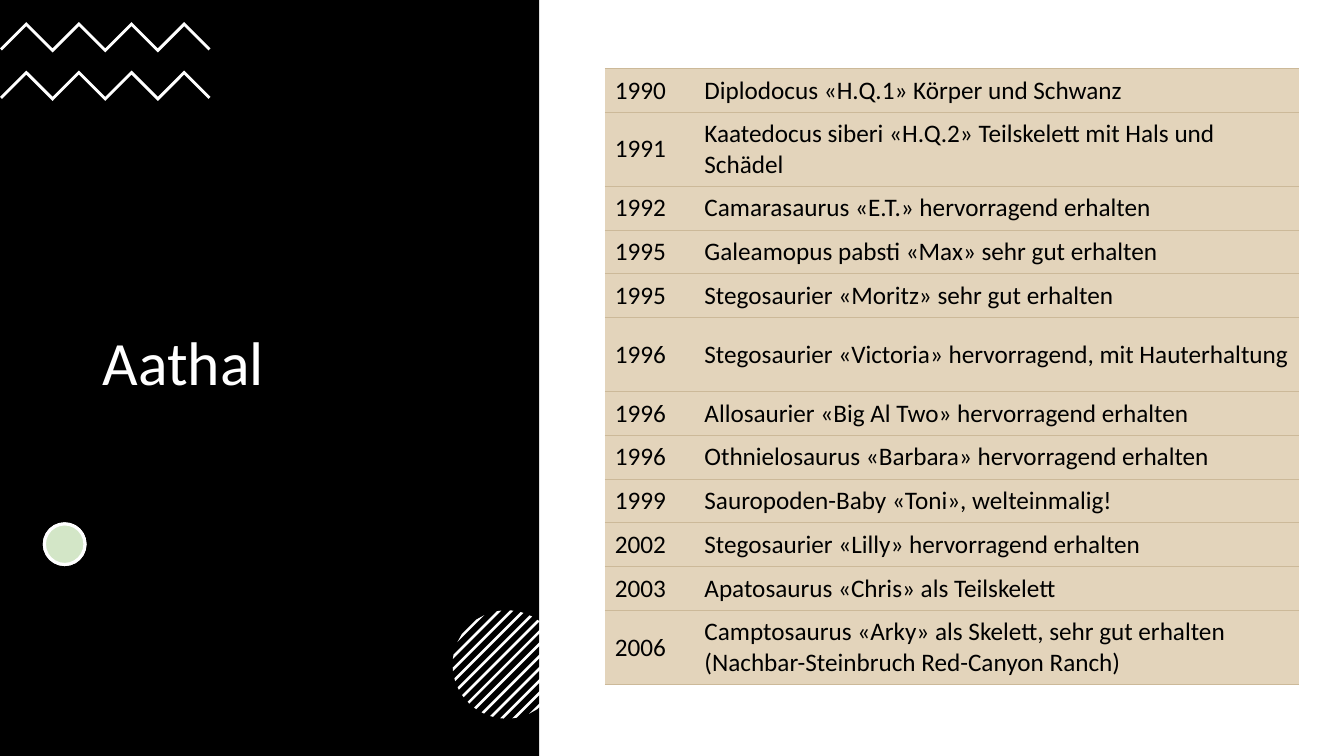
from math import sqrt
from lxml.etree import SubElement as Sub
from pptx import Presentation
from pptx.dml.color import RGBColor as RGB
from pptx.enum.shapes import MSO_SHAPE as Shape
from pptx.enum.text import MSO_ANCHOR as Anchor, MSO_AUTO_SIZE as Auto, PP_ALIGN as Align
from pptx.oxml.ns import qn
from pptx.util import Pt

theme = {
    "font": "Calibri",
    "head": 44,
    "body": 18,
    "black": "000000",
    "white": "FFFFFF",
    "green": "70AD47",
    "sand": "E3D4BB",
    "rule": "CCB999",
}


def paint(shape, color, line=None):
    shape.shadow.inherit = False
    shape.fill.solid()
    shape.fill.fore_color.rgb = RGB.from_string(theme[color])
    if line:
        shape.line.color.rgb = RGB.from_string(theme["white"])
        shape.line.width = Pt(line)
    else:
        shape.line.fill.background()


def trace(group, points):
    first, *rest = [(Pt(x), Pt(y)) for x, y in points]
    pen = group.shapes.build_freeform(*first)
    pen.add_line_segments(rest, close=True)
    paint(pen.convert_to_shape(), "white")


deck = Presentation()
deck.slide_width, deck.slide_height = Pt(960), Pt(540)
slide = deck.slides.add_slide(deck.slide_layouts[5])
shapes = slide.shapes

title = shapes.title
panel = shapes.add_shape(Shape.RECTANGLE, 0, 0, Pt(385.2), Pt(540))
paint(panel, "black")
title.element.addprevious(panel.element)

place = {"left": 66.2, "top": 94.3, "width": 252, "height": 333.4}
for name, value in place.items():
    setattr(title, name, Pt(value))
title.text = "Aathal"
frame = title.text_frame
look = {"word_wrap": True, "auto_size": Auto.NONE, "vertical_anchor": Anchor.MIDDLE}
for name, value in look.items():
    setattr(frame, name, value)
para = frame.paragraphs[0]
para.alignment = Align.LEFT
para.line_spacing = 0.9
font = para.runs[0].font
for name, value in {"name": theme["font"], "size": Pt(theme["head"])}.items():
    setattr(font, name, value)
font.color.rgb = RGB.from_string(theme["white"])

waves = shapes.add_group_shape()
step, count = 18.8, 8
for top in (15.8, 50.4):
    upper = [(step * i, top + step * (i % 2 == 0)) for i in range(count + 1)]
    lower = [(x, y + 2.9) for x, y in upper[1:-1]]
    base = top + step + 1.5
    ends = [(1.4, base), (step * count - 1.4, base)]
    trace(waves, upper + ends[1:] + lower[::-1] + ends[:1])

for color in ("white", "green"):
    dot = shapes.add_shape(Shape.OVAL, Pt(31.7), Pt(374.2), Pt(29), Pt(29))
    paint(dot, color, 2.25)
tint = dot.element.spPr.find(qn("a:solidFill"))[0]
Sub(tint, qn("a:alpha"), val="30000")

disc = shapes.add_group_shape()
mid_x, mid_y, radius, pitch, half = 362, 474.6, 38.7, 8.75, 1.3
for k in range(-6, 7):
    edges = []
    for total in (k * pitch - half, k * pitch + half):
        reach = sqrt(radius ** 2 - total ** 2 / 2) / sqrt(2)
        x, y = mid_x + total / 2, mid_y + total / 2
        edges.append([(x + reach, y - reach), (x - reach, y + reach)])
    trace(disc, edges[0] + edges[1][::-1])

finds = [
    ("1990", "Diplodocus «H.Q.1» Körper und Schwanz"),
    ("1991", "Kaatedocus siberi «H.Q.2» Teilskelett mit Hals und Schädel"),
    ("1992", "Camarasaurus «E.T.» hervorragend erhalten"),
    ("1995", "Galeamopus pabsti «Max» sehr gut erhalten"),
    ("1995", "Stegosaurier «Moritz» sehr gut erhalten"),
    ("1996", "Stegosaurier «Victoria» hervorragend, mit Hauterhaltung"),
    ("1996", "Allosaurier «Big Al Two» hervorragend erhalten"),
    ("1996", "Othnielosaurus «Barbara» hervorragend erhalten"),
    ("1999", "Sauropoden-Baby «Toni», welteinmalig!"),
    ("2002", "Stegosaurier «Lilly» hervorragend erhalten"),
    ("2003", "Apatosaurus «Chris» als Teilskelett"),
    ("2006", "Camptosaurus «Arky» als Skelett, sehr gut erhalten "
             "(Nachbar-Steinbruch Red-Canyon Ranch)"),
]
tall = {"1991", "2006"}
table = shapes.add_table(len(finds), 2, Pt(432), Pt(48.9), Pt(496.2), Pt(440.1)).table
table.first_row = table.horz_banding = False
for col, width in zip(table.columns, (64, 432.2)):
    col.width = Pt(width)

for row, find in zip(table.rows, finds):
    high = find[0] in tall or "Victoria" in find[1]
    row.height = Pt(52.8 if high else 31.3)
    for cell, text in zip(row.cells, find):
        cell.text = text
        cell.vertical_anchor = Anchor.MIDDLE
        props = cell._tc.get_or_add_tcPr()
        for side in "LRTB":
            edge = Sub(props, qn("a:ln" + side), w=str(Pt(0.75)))
            if side in "LR":
                Sub(edge, qn("a:noFill"))
            else:
                Sub(Sub(edge, qn("a:solidFill")), qn("a:srgbClr"), val=theme["rule"])
        cell.fill.solid()
        cell.fill.fore_color.rgb = RGB.from_string(theme["sand"])
        font = cell.text_frame.paragraphs[0].runs[0].font
        for name, value in {"name": theme["font"], "size": Pt(theme["body"])}.items():
            setattr(font, name, value)
        font.color.rgb = RGB.from_string(theme["black"])

deck.save("out.pptx")
